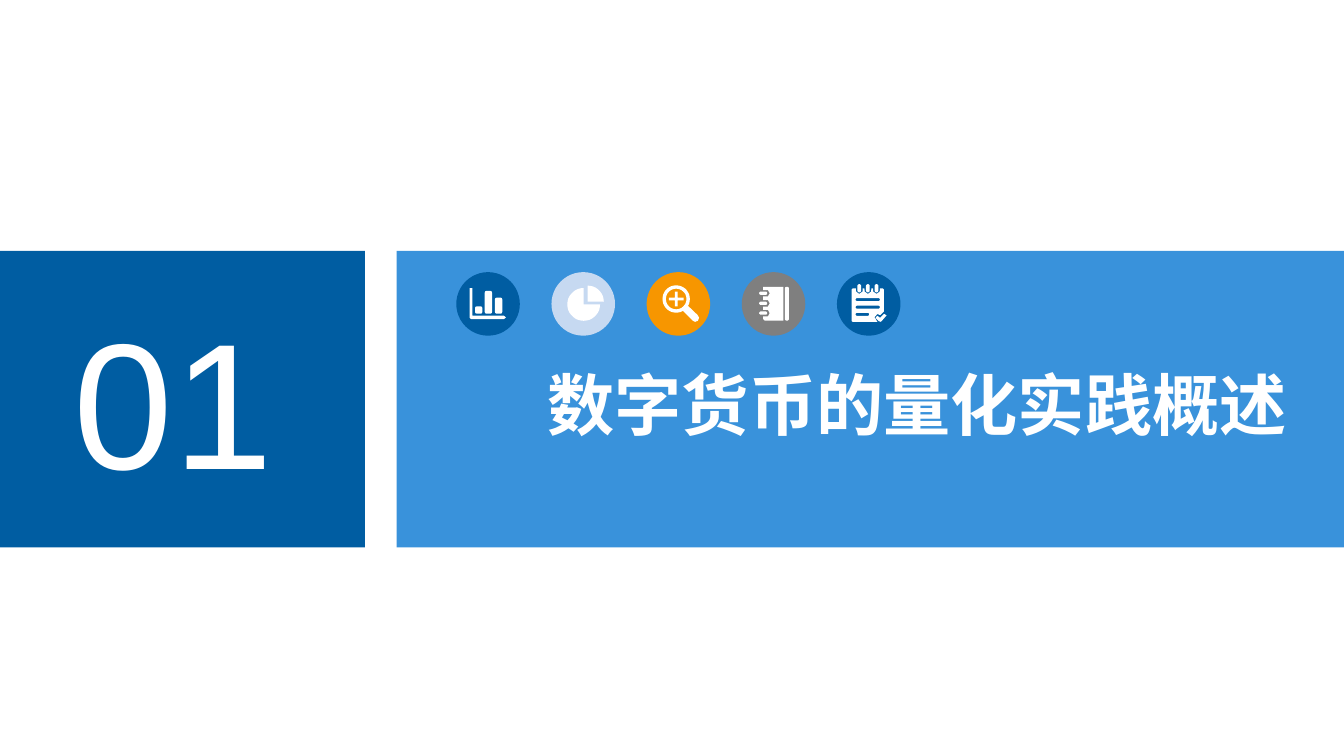
import math

import pptx
import pptx.dml.color
import pptx.enum.shapes
import pptx.enum.text
import pptx.util

RGBColor = pptx.dml.color.RGBColor
NAVY = RGBColor(0x00, 0x5D, 0xA2)
BLUE = RGBColor(0x39, 0x92, 0xDB)
PALE = RGBColor(0xC6, 0xD9, 0xF1)
ORANGE = RGBColor(0xF7, 0x96, 0x00)
GRAY = RGBColor(0x7F, 0x7F, 0x7F)
WHITE = RGBColor(0xFF, 0xFF, 0xFF)
SHAPE = pptx.enum.shapes.MSO_SHAPE

prs = pptx.Presentation()
prs.slide_width = pptx.util.Inches(10)
prs.slide_height = prs.slide_width * 9 // 16
col = prs.slide_width / 100
row = prs.slide_height / 100
s = prs.slides.add_slide(prs.slide_layouts[6])


def add_text(text, x, y, w, h, size, bold=False, color=WHITE, font="Arial"):
    box = s.shapes.add_textbox(int(x * col), int(y * row), int(w * col), int(h * row))
    tf = box.text_frame
    tf.word_wrap = False
    tf.auto_size = pptx.enum.text.MSO_AUTO_SIZE.SHAPE_TO_FIT_TEXT
    r = tf.paragraphs[0].add_run()
    r.text = text
    r.font.name = font
    r.font.size = pptx.util.Pt(size)
    r.font.bold = bold
    r.font.color.rgb = color


def rounded(x, y, w, h, radius):
    corners = [(x + w - radius, y + h - radius, 0), (x + radius, y + h - radius, 90),
               (x + radius, y + radius, 180), (x + w - radius, y + radius, 270)]
    return [(cx + radius * math.cos(math.radians(start + turn)),
             cy + radius * math.sin(math.radians(start + turn)))
            for cx, cy, start in corners for turn in range(0, 91, 15)]


for x, w, color in [(29.52, 70.9, BLUE), (0, 27.15, NAVY)]:
    sp = s.shapes.add_shape(SHAPE.RECTANGLE, int(x * col), int(33.2 * row),
                            int(w * col), int(39.2 * row))
    sp.shadow.inherit = False
    sp.fill.solid()
    sp.fill.fore_color.rgb = color
    sp.line.fill.background()

add_text("01", 4.5, 37.5, 17, 30.6, size=96)
add_text("数字货币的量化实践概述", 39.75, 47.2, 57.6, 12.6, size=36, bold=True)

axes = [(100, 120), (120, 120), (120, 325), (355, 325), (370, 338), (355, 350),
        (110, 350), (100, 340)]
bars = [axes] + [rounded(x, 310 - h, 55, h, 15)
                 for x, h in [(140, 55), (212, 170), (288, 120)]]

turns = [math.radians(a) for a in range(0, 271, 10)]
pie = [[(270, 220)] + [(270 + 120 * math.sin(t), 220 - 120 * math.cos(t)) for t in turns[:10]],
       [(240, 240)] + [(240 + 122 * math.cos(t), 240 + 122 * math.sin(t)) for t in turns]]

rim = [math.radians(a) for a in range(60, 391, 10)]
lens = [(220 + 102 * math.cos(t), 200 + 102 * math.sin(t)) for t in rim]
handle = [(380, 320), (390, 340), (382, 362), (360, 370), (345, 362)]
plus = [(210, 145), (230, 145), (230, 190), (275, 190), (275, 210), (230, 210),
        (230, 255), (210, 255), (210, 210), (165, 210), (165, 190), (210, 190)]
magnifier = [lens + handle, rounded(143, 123, 154, 154, 77), plus]

page = [(160, 110), (310, 110), (310, 360), (170, 360), (160, 350)]
notebook = [rounded(322, 110, 28, 250, 10)]
for y in (305, 232, 157):
    page += [(160, y + 24), (195, y + 24), (208, y), (195, y - 24), (160, y - 24)]
    notebook.append(rounded(130, y - 12, 60, 24, 12))
notebook.append(page)

sheet = [(110, 365), (110, 130), (120, 120)]
checklist = [rounded(140, y, w, 22, 11) for y, w in [(193, 180), (250, 180), (303, 100)]]
for x in (167, 231, 295):
    sheet += [(x - 26, 120), (x - 24, 145), (x, 162), (x + 24, 145), (x + 26, 120)]
    checklist.append(rounded(x - 14, 90, 28, 60, 14))
sheet += [(342, 120), (350, 130), (350, 293), (322, 320), (302, 312), (280, 335),
          (302, 370), (118, 370)]
check = [(288, 340), (302, 325), (322, 340), (352, 310), (370, 322), (328, 370), (312, 365)]
checklist += [sheet, check]

for i, (color, contours) in enumerate([(NAVY, bars), (PALE, pie), (ORANGE, magnifier),
                                       (GRAY, notebook), (NAVY, checklist)]):
    left, top = int((33.95 + 7.08 * i) * col), int(36 * row)
    group = s.shapes.add_group_shape()
    disc = group.shapes.add_shape(SHAPE.OVAL, left, top, int(4.73 * col), int(4.73 * col))
    fb = group.shapes.build_freeform(*contours[0][0], scale=col / 100)
    fb.add_line_segments(contours[0][1:])
    for contour in contours[1:]:
        fb.move_to(*contour[0])
        fb.add_line_segments(contour[1:])
    icon = fb.convert_to_shape(left, top)
    for sp, fill in [(disc, color), (icon, WHITE)]:
        sp.shadow.inherit = False
        sp.fill.solid()
        sp.fill.fore_color.rgb = fill
        sp.line.fill.background()

prs.save("out.pptx")
